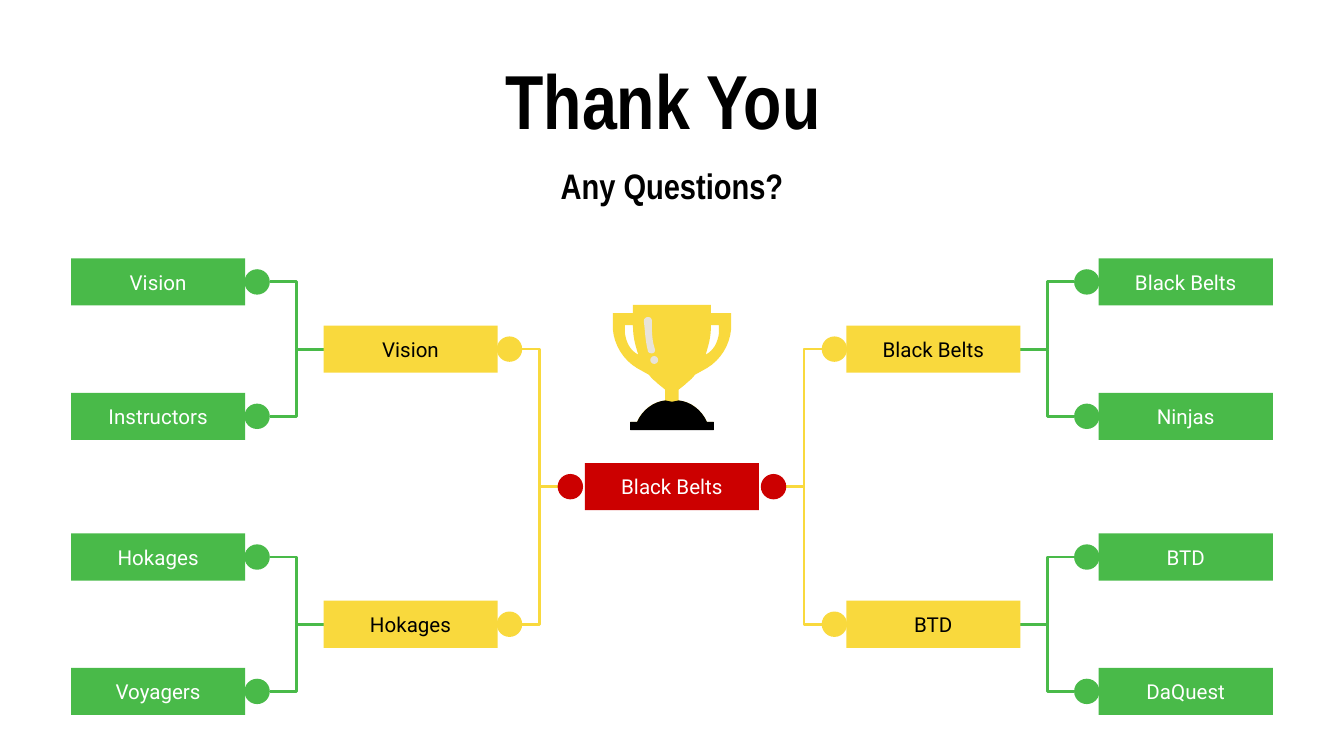
from lxml import etree
from pptx import Presentation
from pptx import util as u
from pptx.dml import color as dml
from pptx.enum import shapes, text

GREEN, YELLOW, RED = "49BA49", "F9D93D", "CC0000"
BLACK, WHITE, SHINE = "000000", "FFFFFF", "E8E3D9"
AXIS = 12.7
BOX_WIDTH, BOX_HEIGHT, DOT = 3.29, 0.89, 0.48
OUTER_BOX, OUTER_DOT, INNER_BOX, INNER_DOT, FINAL_DOT = 9.71, 7.84, 4.94, 3.07, 1.92
FINAL_Y, INNER_STEP, OUTER_STEP = 9.2, 2.6, 1.27


def paint(shape, color):
    shape.shadow.inherit = False
    shape.fill.solid()
    shape.fill.fore_color.rgb = dml.RGBColor.from_string(color)
    shape.line.fill.background()


def write(paragraph, content, *, size, font, color, bold=False, spacing=1.0, before=0):
    paragraph.alignment = text.PP_ALIGN.CENTER
    paragraph.line_spacing = spacing
    paragraph.space_before = u.Pt(before)
    run = paragraph.add_run()
    run.text = content
    run.font.size = u.Pt(size)
    run.font.name = font
    run.font.bold = bold
    run.font.color.rgb = dml.RGBColor.from_string(color)


presentation = Presentation()
presentation.slide_width, presentation.slide_height = u.Cm(25.4), u.Cm(14.29)
slide = presentation.slides.add_slide(presentation.slide_layouts[5])

title = slide.shapes.title
title.left, title.top, title.width, title.height = u.Cm(1.98), u.Cm(1.5), u.Cm(21.44), u.Cm(1.14)
frame = title.text_frame
frame.auto_size = text.MSO_AUTO_SIZE.NONE
frame.vertical_anchor = text.MSO_ANCHOR.TOP
frame.margin_left = frame.margin_right = frame.margin_top = frame.margin_bottom = u.Cm(0.25)
heading = dict(font="Arial Narrow", color=BLACK, bold=True, spacing=0.5)
write(frame.paragraphs[0], "Thank You ", size=41, **heading)
write(frame.add_paragraph(), "Any Questions?", size=19, before=23.5, **heading)

# fmt: off
base_half = [(495, 298), (486, 299, 478, 305, 474, 314), (469, 314), (469, 320)]
cup_half = [(471, 227), (471, 233), (456, 233), (456, 245), (457, 257, 464, 268, 474, 274),
            (483, 279), (485, 282, 488, 284, 490, 286), (495, 290)] + base_half
handle_gap = [(471, 242), (471, 243), (471, 251, 473, 258, 475, 264),
              (469, 261, 466, 255, 465, 248), (465, 242)]
streak = [(482, 236), (481, 236, 479, 237, 479, 239), (480, 246, 480, 253, 482, 261),
          (482, 262, 483, 263, 485, 263), (487, 263, 488, 261, 487, 259),
          (485, 253, 485, 245, 485, 239), (485, 237, 484, 236, 482, 236)]
# fmt: on
trophy = [
    (YELLOW, [(cup_half, "join"), (handle_gap, "pair")]),
    (SHINE, [(streak, "single")]),
    (BLACK, [([(500, 299)] + base_half, "join")]),
    (BLACK, [([(469, 314), (469, 320)], "join")]),
]
for color, outlines in trophy:
    contours = []
    for outline, symmetry in outlines:
        points = []
        for segment in outline:
            if len(segment) == 2:
                points.append(segment)
                continue
            curve = (*points[-1], *segment)
            for step in range(1, 9):
                t = step / 8
                weights = ((1 - t) ** 3, 3 * t * (1 - t) ** 2, 3 * t * t * (1 - t), t**3)
                points.append(tuple(sum(w * v for w, v in zip(weights, curve[axis::2])) for axis in (0, 1)))
        mirrored = [(1000 - x, y) for x, y in reversed(points)]
        contours += {"join": [points + mirrored], "pair": [points, mirrored], "single": [points]}[symmetry]
    contours = [[(u.Cm(x * 0.0254), u.Cm(y * 0.0254)) for x, y in points] for points in contours]
    builder = slide.shapes.build_freeform(*contours[0][0])
    builder.add_line_segments(contours[0][1:], close=True)
    for points in contours[1:]:
        builder.move_to(*points[0])
        builder.add_line_segments(points[1:], close=True)
    paint(builder.convert_to_shape(), color)
glint = slide.shapes.add_shape(shapes.MSO_SHAPE.OVAL, u.Cm(12.29), u.Cm(6.73), u.Cm(0.15), u.Cm(0.15))
paint(glint, SHINE)

bracket = [
    (-1, [("Vision", ["Vision", "Instructors"]), ("Hokages", ["Hokages", "Voyagers"])]),
    (1, [("Black Belts", ["Black Belts", "Ninjas"]), ("BTD", ["BTD", "DaQuest"])]),
]
boxes = [("Black Belts", AXIS, FINAL_Y, RED, WHITE)]
dots, links = [], []
for side, matches in bracket:
    dots.append((AXIS + side * FINAL_DOT, FINAL_Y, RED))
    for (winner, teams), direction in zip(matches, (-1, 1)):
        inner_y = FINAL_Y + direction * INNER_STEP
        boxes.append((winner, AXIS + side * INNER_BOX, inner_y, YELLOW, BLACK))
        dots.append((AXIS + side * INNER_DOT, inner_y, YELLOW))
        links.append((side, FINAL_DOT + DOT / 2, FINAL_Y, INNER_DOT - DOT / 2, inner_y, YELLOW))
        for team, turn in zip(teams, (-1, 1)):
            outer_y = inner_y + turn * OUTER_STEP
            boxes.append((team, AXIS + side * OUTER_BOX, outer_y, GREEN, WHITE))
            dots.append((AXIS + side * OUTER_DOT, outer_y, GREEN))
            links.append((side, INNER_BOX + BOX_WIDTH / 2, inner_y, OUTER_DOT - DOT / 2, outer_y, GREEN))

for side, start, start_y, end, end_y, color in links:
    connector = slide.shapes.add_connector(
        shapes.MSO_CONNECTOR.ELBOW,
        u.Cm(AXIS + side * start), u.Cm(start_y), u.Cm(AXIS + side * end), u.Cm(end_y),
    )
    connector.line.color.rgb = dml.RGBColor.from_string(color)
    connector.line.width = u.Pt(1.5)
    etree.SubElement(connector._element.spPr, "{http://schemas.openxmlformats.org/drawingml/2006/main}effectLst")

for x, y, color in dots:
    dot = slide.shapes.add_shape(
        shapes.MSO_SHAPE.OVAL, u.Cm(x - DOT / 2), u.Cm(y - DOT / 2), u.Cm(DOT), u.Cm(DOT)
    )
    paint(dot, color)

for label, x, y, color, font_color in boxes:
    box = slide.shapes.add_shape(
        shapes.MSO_SHAPE.ROUNDED_RECTANGLE,
        u.Cm(x - BOX_WIDTH / 2), u.Cm(y - BOX_HEIGHT / 2), u.Cm(BOX_WIDTH), u.Cm(BOX_HEIGHT),
    )
    box.adjustments[0] = 0
    paint(box, color)
    box.text_frame.vertical_anchor = text.MSO_ANCHOR.MIDDLE
    write(box.text_frame.paragraphs[0], label, size=11, font="Roboto", color=font_color)

presentation.save("out.pptx")
